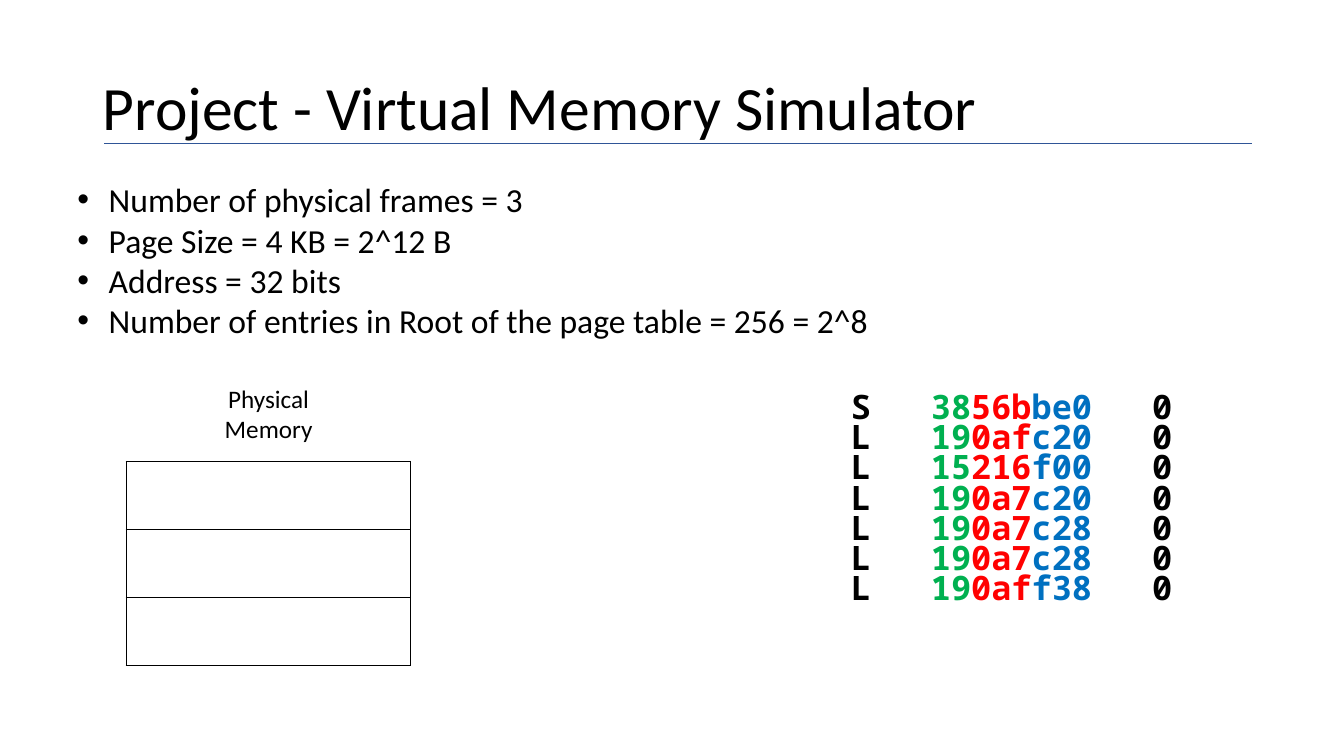
from lxml import etree
from pptx import Presentation
from pptx.dml.color import RGBColor
from pptx.enum import shapes, text
from pptx.oxml.ns import qn
from pptx.util import Cm, Pt

BLACK = RGBColor(0x00, 0x00, 0x00)
GREEN = RGBColor(0x00, 0xB0, 0x50)
RED = RGBColor(0xFF, 0x00, 0x00)
BLUE = RGBColor(0x00, 0x70, 0xC0)
RULE_BLUE = RGBColor(0x2F, 0x55, 0x97)

TITLE = "Project - Virtual Memory Simulator"
FACTS = [
    "Number of physical frames = 3",
    "Page Size = 4 KB = 2^12 B",
    "Address = 32 bits",
    "Number of entries in Root of the page table = 256 = 2^8",
]
MEMORY_LABEL = "Physical Memory"
FRAME_COUNT = 3
# operation, (root index, page index, offset), process
ACCESSES = [
    ("S", ("38", "56b", "be0"), "0"),
    ("L", ("19", "0af", "c20"), "0"),
    ("L", ("15", "216", "f00"), "0"),
    ("L", ("19", "0a7", "c20"), "0"),
    ("L", ("19", "0a7", "c28"), "0"),
    ("L", ("19", "0a7", "c28"), "0"),
    ("L", ("19", "0af", "f38"), "0"),
]
ADDRESS_COLORS = (GREEN, RED, BLUE)
TITLE_FORMAT = {"name": "Calibri", "size": Pt(44)}
FACT_FORMAT = {"name": "Calibri", "size": Pt(24)}
LABEL_FORMAT = {"name": "Calibri", "size": Pt(18)}
TRACE_FORMAT = {"name": "Noto Sans Mono", "size": Pt(24), "bold": True}
NO_MARGINS = dict.fromkeys(
    ("margin_left", "margin_top", "margin_right", "margin_bottom"), 0)


def set_attributes(target, values):
    for name, value in values.items():
        setattr(target, name, value)


def add_run(paragraph, content, font_format, color=BLACK):
    run = paragraph.add_run()
    run.text = content
    set_attributes(run.font, font_format)
    run.font.color.rgb = color


def add_text(slide, box, lines, font_format, alignment=None):
    frame = slide.shapes.add_textbox(*map(Cm, box)).text_frame
    frame.word_wrap = True
    for index, line in enumerate(lines):
        paragraph = frame.add_paragraph() if index else frame.paragraphs[0]
        paragraph.alignment = alignment
        add_run(paragraph, line, font_format)
    return frame


def add_bullet(paragraph, indent):
    properties = paragraph._p.get_or_add_pPr()
    properties.set("marL", str(indent))
    properties.set("indent", str(-indent))
    etree.SubElement(properties, qn("a:buFont"), typeface="Arial")
    etree.SubElement(properties, qn("a:buChar"), char="•")


def set_borders(cell, color=None):
    """Draw all four borders, or hide them when no color is given."""
    properties = cell._tc.get_or_add_tcPr()
    for position, side in enumerate(("lnL", "lnR", "lnT", "lnB")):
        line = etree.Element(qn("a:" + side), w=str(Pt(1) if color else 0))
        if color:
            fill = etree.SubElement(line, qn("a:solidFill"))
            etree.SubElement(fill, qn("a:srgbClr"), val=str(color))
        else:
            etree.SubElement(line, qn("a:noFill"))
        properties.insert(position, line)


def add_plain_table(slide, left, top, widths, heights, border=None):
    """Add a table without banding or fills; lengths are in centimetres."""
    table = slide.shapes.add_table(
        len(heights), len(widths), Cm(left), Cm(top),
        Cm(sum(widths)), Cm(sum(heights))).table
    table.first_row = table.horz_banding = False
    for column, width in zip(table.columns, widths):
        column.width = Cm(width)
    for row, height in zip(table.rows, heights):
        row.height = Cm(height)
    for cell in table.iter_cells():
        cell.fill.background()
        set_borders(cell, border)
    return table


def fill_trace_cell(cell, parts, colors, alignment):
    set_attributes(cell, NO_MARGINS)
    paragraph = cell.text_frame.paragraphs[0]
    set_attributes(paragraph, {"alignment": alignment, "line_spacing": Pt(18.8)})
    for part, color in zip(parts, colors):
        add_run(paragraph, part, TRACE_FORMAT, color)


def add_title_rule(slide):
    rule = slide.shapes.add_connector(
        shapes.MSO_CONNECTOR.STRAIGHT, Cm(2.63), Cm(3.6), Cm(31.54), Cm(3.6))
    set_attributes(rule.line, {"width": Pt(0.5)})
    rule.line.color.rgb = RULE_BLUE
    etree.SubElement(rule._element.spPr, qn("a:effectLst"))
    rule._element.remove(rule._element.find(qn("p:style")))


def main():
    presentation = Presentation()
    presentation.slide_width, presentation.slide_height = Cm(33.87), Cm(19.05)
    slide = presentation.slides.add_slide(presentation.slide_layouts[6])

    title = add_text(slide, (2.54, 1.7, 22.94, 1.93), [TITLE], TITLE_FORMAT)
    set_attributes(title, {**NO_MARGINS, "margin_top": Cm(0.03)})
    title.paragraphs[0].space_before = Pt(1)
    title.paragraphs[0]._p.get_or_add_pPr().set("marL", str(Cm(0.05)))
    add_title_rule(slide)

    # The trace starts below one empty row.
    heights = [1.02] + [0.76] * (len(ACCESSES) - 1) + [0.69]
    trace = add_plain_table(slide, 21.36, 9.14, (1.16, 5.94, 1.16), heights)
    for row, (operation, address, process) in enumerate(ACCESSES, start=1):
        first, middle, last = (trace.cell(row, column) for column in range(3))
        fill_trace_cell(first, [operation], [BLACK], text.PP_ALIGN.LEFT)
        fill_trace_cell(middle, address, ADDRESS_COLORS, text.PP_ALIGN.CENTER)
        fill_trace_cell(last, [process], [BLACK], text.PP_ALIGN.RIGHT)
        first.margin_left = last.margin_right = Cm(0.08)

    facts = add_text(slide, (1.7, 4.39, 20.96, 5.13), FACTS, FACT_FORMAT)
    for paragraph in facts.paragraphs:
        add_bullet(paragraph, Cm(0.79))

    add_plain_table(slide, 3.18, 11.63, [7.16], [1.71] * FRAME_COUNT, BLACK)
    add_text(slide, (4.65, 9.53, 4.24, 1.8), [MEMORY_LABEL], LABEL_FORMAT,
             text.PP_ALIGN.CENTER)

    presentation.save("out.pptx")


if __name__ == "__main__":
    main()
